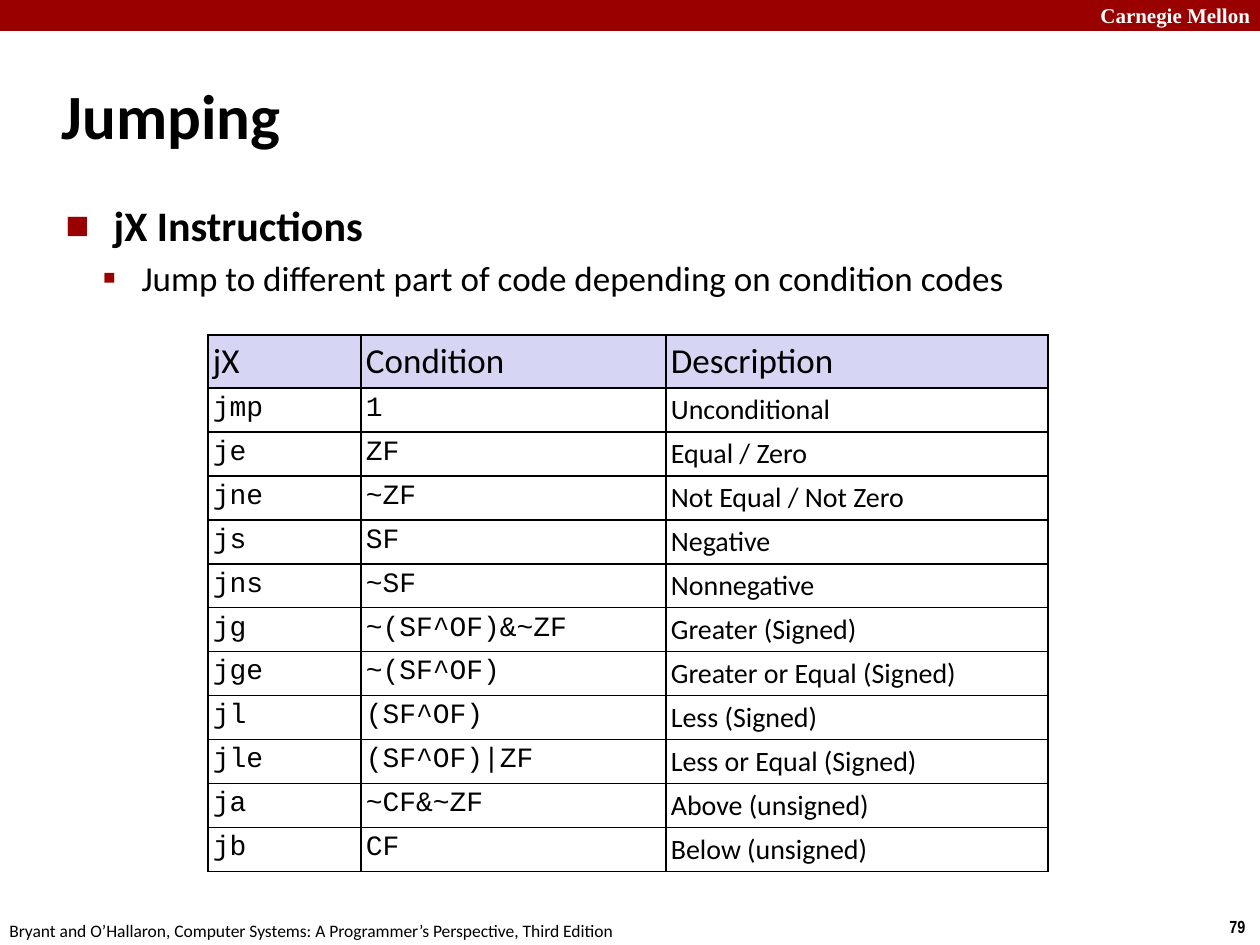
"""Build the slide on jump instructions with its table of condition codes."""
from lxml.etree import SubElement
from pptx import Presentation
from pptx.dml.color import RGBColor
from pptx.enum.shapes import MSO_SHAPE
from pptx.enum.text import MSO_ANCHOR, MSO_AUTO_SIZE, PP_ALIGN
from pptx.oxml import parse_xml
from pptx.oxml.ns import nsdecls, qn
from pptx.util import Emu, Inches, Pt

SCALE = Inches(1) / 126
COLORS = {"red": "990000", "black": "000000", "white": "FFFFFF", "head": "D6D6F4"}


def px(*sizes):
    return [Emu(round(size * SCALE)) for size in sizes]


def write(para, text, size, font="Calibri", color="black", bold=False):
    run = para.add_run()
    run.text = text
    run.font.size = Pt(size)
    run.font.name = font
    run.font.bold = bold
    run.font.color.rgb = RGBColor.from_string(COLORS[color])


prs = Presentation()
prs.slide_width, prs.slide_height = px(1260, 945)
slide = prs.slides.add_slide(prs.slide_layouts[1])
shapes = slide.shapes

bar = shapes.add_shape(MSO_SHAPE.RECTANGLE, *px(0, 0, 1260, 31))
bar.shadow.inherit = False
bar.fill.solid()
bar.fill.fore_color.rgb = RGBColor.from_string(COLORS["red"])
bar.line.fill.background()

labels = [
    ((1088, -4, 180, 38), True, "Carnegie Mellon", 12, "Times New Roman", "white", True),
    ((1217, 910, 43, 34), False, "79", 10, "Arial Narrow", "black", True),
    ((-3, 914, 640, 34), False,
     "Bryant and O’Hallaron, Computer Systems: A Programmer’s Perspective, Third Edition",
     10, "Calibri", "black", False),
]
for place, wrap, *look in labels:
    frame = shapes.add_textbox(*px(*place)).text_frame
    frame.word_wrap = wrap
    write(frame.paragraphs[0], *look)

title = shapes.title
title.left, title.top, title.width, title.height = px(49, 35, 1155, 158)
frame = title.text_frame
frame.auto_size = MSO_AUTO_SIZE.NONE
frame.vertical_anchor = MSO_ANCHOR.MIDDLE
para = frame.paragraphs[0]
para.alignment = PP_ALIGN.LEFT
write(para, "Jumping", 36, bold=True)

body = slide.placeholders[1]
body.left, body.top, body.width, body.height = px(53, 193, 1155, 118)
frame = body.text_frame
frame.auto_size = MSO_AUTO_SIZE.NONE
points = [
    ("jX Instructions", 24, True, 48, -48, "■", 60, 0),
    ("Jump to different part of code depending on condition codes",
     20, False, 76, -39, "▪", 110, 4),
]
for level, (text, size, bold, left, hang, mark, scale, space) in enumerate(points):
    para = frame.add_paragraph() if level else frame.paragraphs[0]
    para.level = level
    para.space_before = Pt(space)
    props = para._p.get_or_add_pPr()
    margin, indent = px(left, hang)
    props.set("marL", str(margin))
    props.set("indent", str(indent))
    tint = SubElement(props, qn("a:buClr"))
    SubElement(tint, qn("a:srgbClr"), val=COLORS["red"])
    SubElement(props, qn("a:buSzPct"), val=str(scale * 1000))
    SubElement(props, qn("a:buFont"), typeface="Calibri")
    SubElement(props, qn("a:buChar"), char=mark)
    write(para, text, size, bold=bold)

rows = [
    ("jX", "Condition", "Description"),
    ("jmp", "1", "Unconditional"),
    ("je", "ZF", "Equal / Zero"),
    ("jne", "~ZF", "Not Equal / Not Zero"),
    ("js", "SF", "Negative"),
    ("jns", "~SF", "Nonnegative"),
    ("jg", "~(SF^OF)&~ZF", "Greater (Signed)"),
    ("jge", "~(SF^OF)", "Greater or Equal (Signed)"),
    ("jl", "(SF^OF)", "Less (Signed)"),
    ("jle", "(SF^OF)|ZF", "Less or Equal (Signed)"),
    ("ja", "~CF&~ZF", "Above (unsigned)"),
    ("jb", "CF", "Below (unsigned)"),
]
widths = px(153, 305, 382)
heights = px(53, *[44] * (len(rows) - 1))
table = shapes.add_table(len(rows), len(widths), *px(208, 335),
                         sum(widths), sum(heights)).table
table.horz_banding = False
for col, width in zip(table.columns, widths):
    col.width = width
for r, (row, height) in enumerate(zip(rows, heights)):
    table.rows[r].height = height
    for c, text in enumerate(row):
        cell = table.cell(r, c)
        cell.margin_left = cell.margin_right = cell.margin_top = cell.margin_bottom = px(5)[0]
        props = cell._tc.get_or_add_tcPr()
        for side in ("lnL", "lnR", "lnT", "lnB"):
            props.append(parse_xml(
                f'<a:{side} {nsdecls("a")} w="{Pt(1)}"><a:solidFill>'
                f'<a:srgbClr val="{COLORS["black"]}"/></a:solidFill></a:{side}>'))
        if r == 0:
            cell.fill.solid()
            cell.fill.fore_color.rgb = RGBColor.from_string(COLORS["head"])
        else:
            cell.fill.background()
        font = "Courier New" if r and c < 2 else "Calibri"
        write(cell.text_frame.paragraphs[0], text, 16 if r else 20, font)

prs.save("out.pptx")
